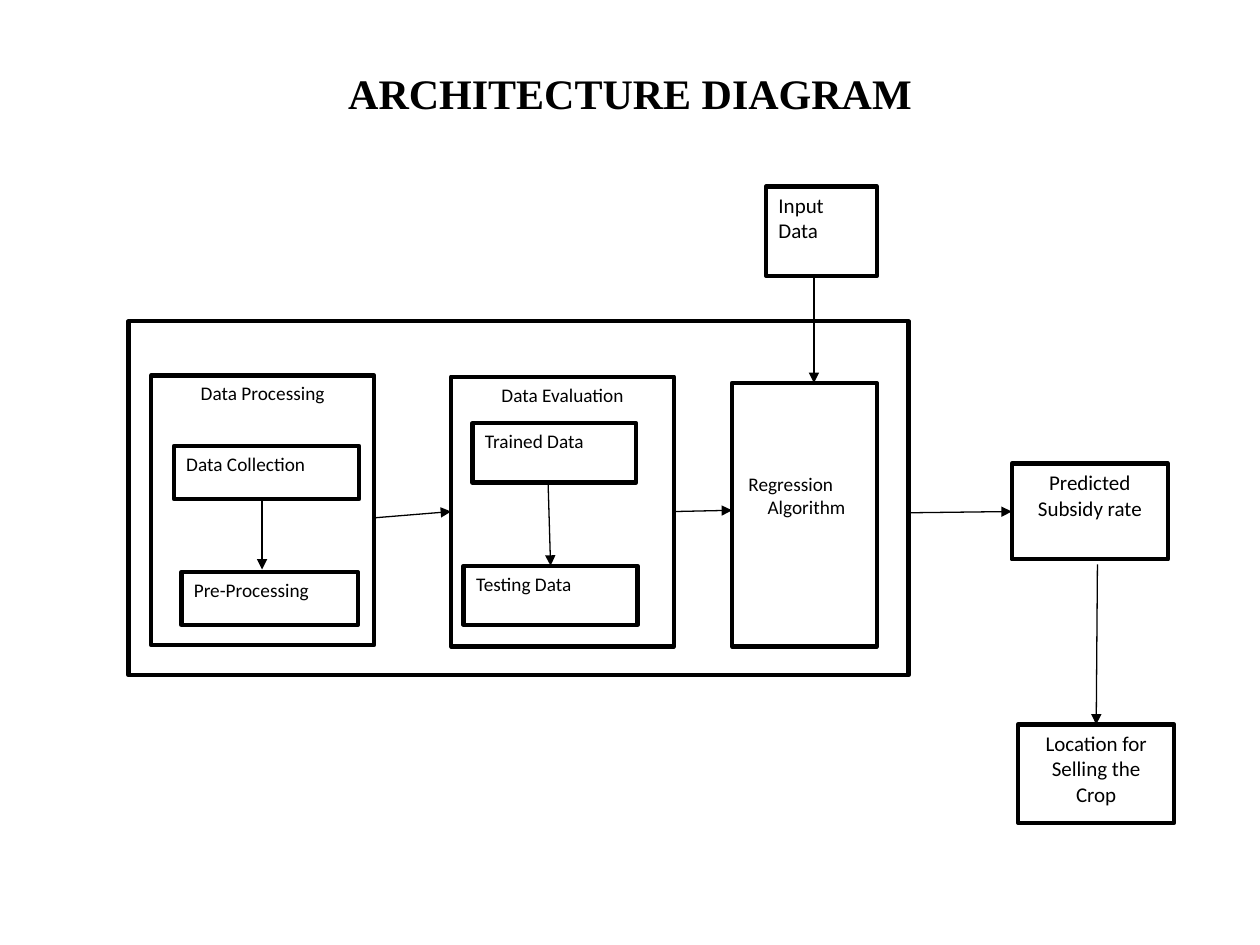
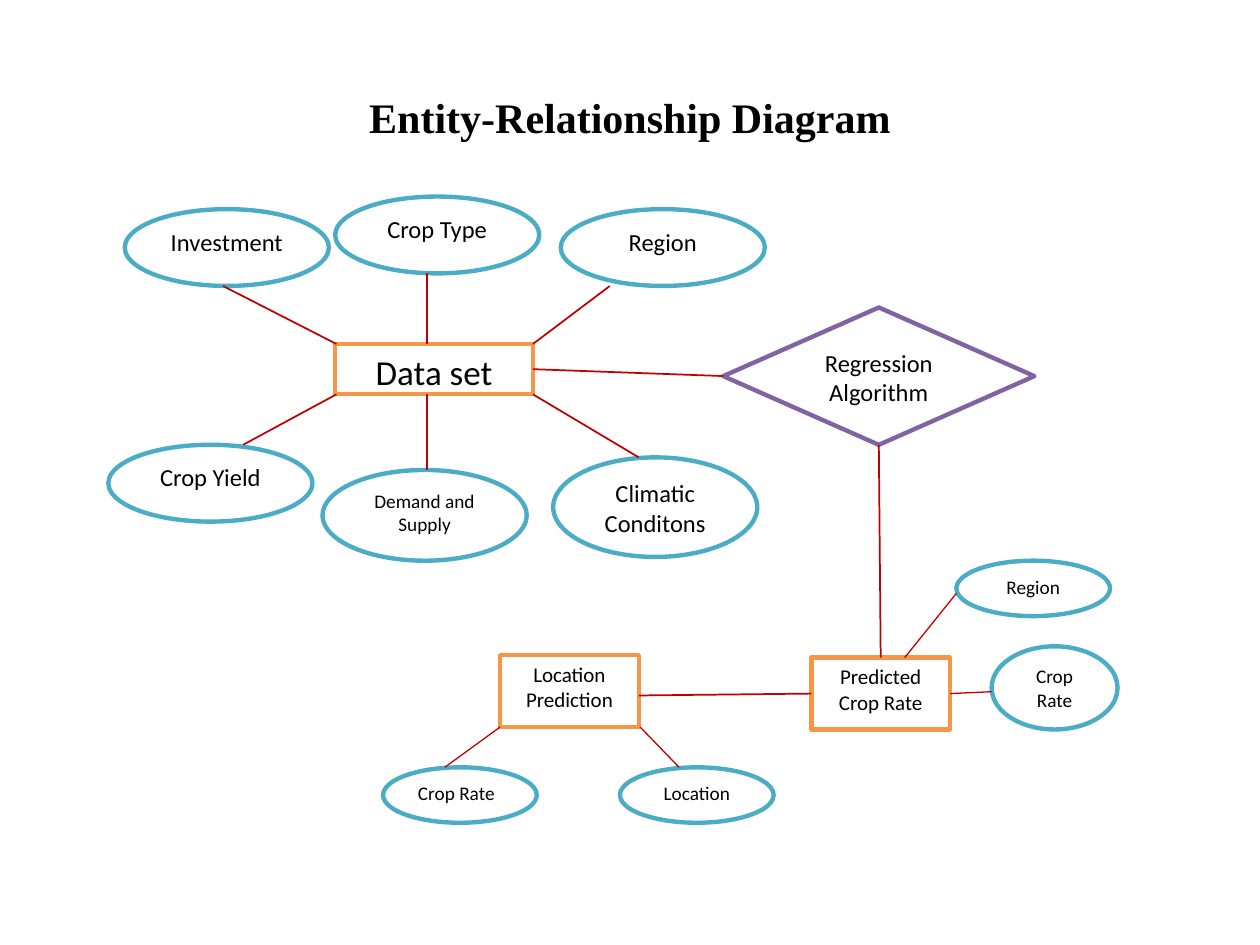
from dataclasses import dataclass

from lxml.etree import SubElement
from pptx import Presentation
from pptx.dml.color import RGBColor
from pptx.enum.shapes import MSO_CONNECTOR, MSO_SHAPE
from pptx.enum.text import MSO_ANCHOR, PP_ALIGN
from pptx.oxml.ns import qn
from pptx.util import Inches, Pt


@dataclass(frozen=True)
class Theme:
    ink: str = "000000"
    paper: str = "FFFFFF"
    entity: str = "F79646"
    attribute: str = "4BACC6"
    relation: str = "8064A2"
    link: str = "C00000"
    title_font: str = "Times New Roman"
    body_font: str = "Calibri"
    title_size: int = 24
    heading: int = 20
    large: int = 14
    medium: int = 12
    small: int = 11
    border: float = 2.5
    thin: float = 0.75
    medium_line: float = 1


THEME = Theme()
LEFT, CENTER = PP_ALIGN.LEFT, PP_ALIGN.CENTER
JOIN_REACH = 0.03

STYLES = {
    "block": (MSO_SHAPE.RECTANGLE, THEME.paper, THEME.ink),
    "frame": (MSO_SHAPE.RECTANGLE, None, THEME.ink),
    "entity": (MSO_SHAPE.RECTANGLE, THEME.paper, THEME.entity),
    "attribute": (MSO_SHAPE.OVAL, THEME.paper, THEME.attribute),
    "relation": (MSO_SHAPE.DIAMOND, THEME.paper, THEME.relation),
}

STAGE = (1.77, 2.14)
OUTCOME_WIDTH = 1.24
ATTRIBUTE = (1.62, 0.61)
SMALL_ATTRIBUTE = (1.22, 0.44)
ENTITY = (1.1, 0.57)

ARCHITECTURE = {
    "title": "ARCHITECTURE DIAGRAM",
    "title_bottom_inset": 0.43,
    "nodes": [
        ("block", "Location for Selling the Crop", (8.08, 5.75), (OUTCOME_WIDTH, 0.78), THEME.medium, CENTER),
        ("block", "Predicted Subsidy rate", (8.03, 3.68), (OUTCOME_WIDTH, 0.76), THEME.medium, CENTER),
        ("block", "Input Data", (6.08, 1.48), (0.88, 0.71), THEME.medium, LEFT),
        ("frame", "", (1.02, 2.55), (6.19, 2.81), THEME.small, CENTER),
        ("block", "", (5.81, 3.04), (1.15, 2.09), THEME.small, CENTER),
        ("frame", "Data Processing", (1.2, 2.98), STAGE, THEME.small, CENTER),
        ("frame", "Data Collection", (1.38, 3.54), (1.47, 0.42), THEME.small, LEFT),
        ("frame", "Pre-Processing", (1.44, 4.54), (1.4, 0.42), THEME.small, LEFT),
        ("frame", "Data Evaluation", (3.58, 2.99), STAGE, THEME.small, CENTER),
        ("frame", "Trained Data", (3.75, 3.36), (1.3, 0.47), THEME.small, LEFT),
        ("frame", "Testing Data", (3.68, 4.49), (1.38, 0.47), THEME.small, LEFT),
    ],
    "link_color": THEME.ink,
    "arrows": True,
    "links": [
        ((8.71, 4.48), (8.71, 5.75), THEME.thin),
        ((7.21, 4.07), (8.03, 4.07), THEME.thin),
        ((6.46, 2.2), (6.46, 3.04), THEME.thin),
        ((5.35, 4.05), (5.81, 4.05), THEME.thin),
        ((2.97, 4.11), (3.58, 4.09), THEME.thin),
        ((2.08, 3.96), (2.08, 4.52), THEME.thin),
        ((4.35, 3.82), (4.35, 4.49), THEME.thin),
    ],
}
ALGORITHM_INDEX = 4
ALGORITHM_LINES = [("Regression", LEFT), ("Algorithm", CENTER)]

ENTITY_RELATIONSHIP = {
    "title": "Entity-Relationship Diagram",
    "title_bottom_inset": 0.05,
    "nodes": [
        ("entity", "Data set", (2.66, 2.73), (1.57, 0.4), THEME.heading, CENTER),
        ("attribute", "Investment", (0.99, 1.66), ATTRIBUTE, THEME.large, CENTER),
        ("attribute", "Crop Type", (2.66, 1.56), ATTRIBUTE, THEME.large, CENTER),
        ("attribute", "Region", (4.45, 1.66), ATTRIBUTE, THEME.large, CENTER),
        ("attribute", "Crop Yield", (0.86, 3.53), ATTRIBUTE, THEME.large, CENTER),
        ("attribute", "Demand and Supply", (2.56, 3.73), (1.62, 0.72), THEME.small, CENTER),
        ("attribute", "Climatic Conditons", (4.39, 3.63), (1.62, 0.79), THEME.large, CENTER),
        ("entity", "Predicted Crop Rate", (6.44, 5.22), ENTITY, THEME.medium, CENTER),
        ("attribute", "Region", (7.59, 4.45), SMALL_ATTRIBUTE, THEME.small, CENTER),
        ("attribute", "Crop Rate", (7.87, 5.13), (1, 0.66), THEME.small, CENTER),
        ("entity", "Location Prediction", (3.97, 5.2), ENTITY, THEME.medium, CENTER),
        ("attribute", "Crop Rate", (3.04, 6.09), SMALL_ATTRIBUTE, THEME.small, LEFT),
        ("attribute", "Location", (4.92, 6.09), SMALL_ATTRIBUTE, THEME.small, CENTER),
        ("relation", "Regression Algorithm", (5.74, 2.44), (2.47, 1.09), THEME.large, CENTER),
    ],
    "link_color": THEME.link,
    "arrows": False,
    "links": [
        ((1.77, 2.27), (2.67, 2.73), THEME.medium_line),
        ((3.39, 2.17), (3.39, 2.73), THEME.medium_line),
        ((4.84, 2.27), (4.23, 2.73), THEME.medium_line),
        ((1.93, 3.53), (2.67, 3.13), THEME.medium_line),
        ((3.39, 3.73), (3.39, 3.13), THEME.medium_line),
        ((4.23, 3.13), (5.07, 3.63), THEME.medium_line),
        ((4.23, 2.93), (5.74, 2.98), THEME.medium_line),
        ((7.59, 4.71), (7.18, 5.22), THEME.thin),
        ((7.87, 5.49), (7.53, 5.49), THEME.thin),
        ((3.53, 6.09), (3.97, 5.77), THEME.thin),
        ((5.39, 6.09), (5.08, 5.77), THEME.thin),
        ((6.99, 3.53), (6.99, 5.22), THEME.medium_line),
        ((5.07, 5.52), (6.44, 5.52), THEME.medium_line),
    ],
}


def style_paragraph(paragraph, font, size, align, bold=False):
    paragraph.alignment = align
    paragraph.font.name = font
    paragraph.font.size = Pt(size)
    paragraph.font.bold = bold
    paragraph.font.color.rgb = RGBColor.from_string(THEME.ink)


def set_title(slide, diagram):
    title = slide.shapes.title
    title.left, title.top, title.width, title.height = map(Inches, (0.5, 0.3, 9, 1.25))
    title.text_frame.text = diagram["title"]
    title.text_frame.vertical_anchor = MSO_ANCHOR.MIDDLE
    title.text_frame.margin_bottom = Inches(diagram["title_bottom_inset"])
    style_paragraph(title.text_frame.paragraphs[0], THEME.title_font, THEME.title_size, CENTER, True)


def add_node(slide, role, label, corner, extent, size, align):
    preset, fill, border = STYLES[role]
    node = slide.shapes.add_shape(preset, *map(Inches, corner + extent))
    node.shadow.inherit = False
    if fill:
        node.fill.solid()
        node.fill.fore_color.rgb = RGBColor.from_string(fill)
    else:
        node.fill.background()
    node.line.color.rgb = RGBColor.from_string(border)
    node.line.width = Pt(THEME.border)
    node.text_frame.word_wrap = True
    node.text_frame.vertical_anchor = MSO_ANCHOR.TOP
    if label:
        node.text_frame.text = label
        style_paragraph(node.text_frame.paragraphs[0], THEME.body_font, size, align)
    return node


def label_algorithm(node):
    frame = node.text_frame
    frame.margin_top = Inches(0.71)
    frame.margin_left = Inches(0.13)
    frame.text = "\n".join(text for text, _ in ALGORITHM_LINES)
    for paragraph, (_, align) in zip(frame.paragraphs, ALGORITHM_LINES):
        style_paragraph(paragraph, THEME.body_font, THEME.small, align)


def find_join(point, diagram, nodes):
    for node, (role, _, (x, y), (w, h), *_) in zip(nodes, diagram["nodes"]):
        if role == "attribute":
            continue
        sides = [(x + w / 2, y), (x, y + h / 2), (x + w / 2, y + h), (x + w, y + h / 2)]
        for site, middle in enumerate(sides):
            if all(abs(a - b) <= JOIN_REACH for a, b in zip(point, middle)):
                return node, site
    return None


def add_link(slide, diagram, nodes, start, end, width):
    link = slide.shapes.add_connector(MSO_CONNECTOR.STRAIGHT, *map(Inches, start + end))
    link.line.color.rgb = RGBColor.from_string(diagram["link_color"])
    link.line.width = Pt(width)
    if diagram["arrows"]:
        SubElement(link.line._get_or_add_ln(), qn("a:tailEnd"), type="triangle")
    SubElement(link._element.spPr, qn("a:effectLst"))
    for point, connect in ((start, link.begin_connect), (end, link.end_connect)):
        join = find_join(point, diagram, nodes)
        if join:
            connect(*join)


def build_diagram(deck, diagram):
    slide = deck.slides.add_slide(deck.slide_layouts[5])
    set_title(slide, diagram)
    nodes = [add_node(slide, *node) for node in diagram["nodes"]]
    for link in diagram["links"]:
        add_link(slide, diagram, nodes, *link)
    return nodes


def main():
    deck = Presentation()
    deck.slide_width, deck.slide_height = Inches(10), Inches(7.5)
    architecture_nodes = build_diagram(deck, ARCHITECTURE)
    label_algorithm(architecture_nodes[ALGORITHM_INDEX])
    build_diagram(deck, ENTITY_RELATIONSHIP)
    deck.save("out.pptx")


if __name__ == "__main__":
    main()
